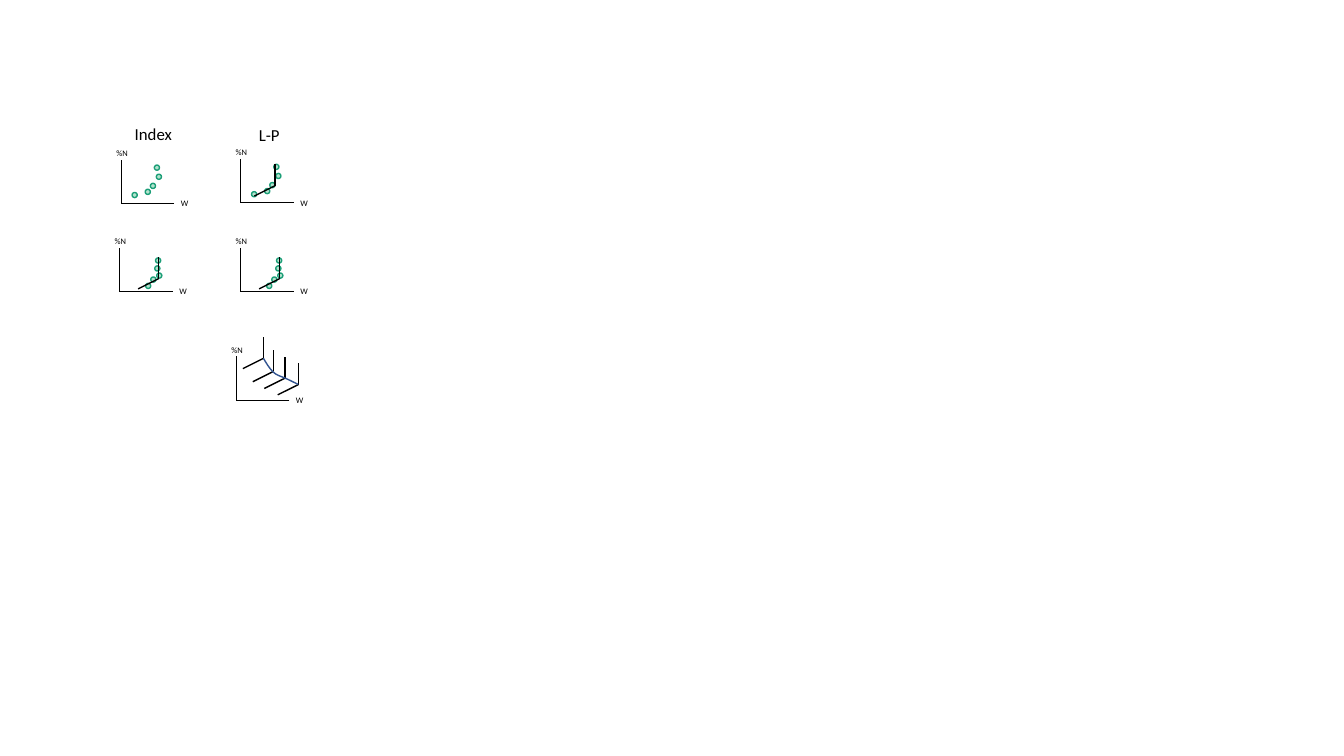
from lxml import etree
from pptx import Presentation
from pptx.dml.color import RGBColor
from pptx.enum.shapes import MSO_CONNECTOR as Link, MSO_SHAPE as Preset
from pptx.enum.text import MSO_AUTO_SIZE as AutoSize, PP_ALIGN as Align
from pptx.oxml.ns import qn
from pptx.util import Cm, Pt

BLACK, MINT, GREEN, BLUE = "000000", "B3E2CD", "1B9E77", "325491"
DOT = 0.13
AXIS_WIDTH, AXIS_HEIGHT = 1.34, 1.1
ARM_WIDTH, ARM_DROP, STEM = 0.52, 0.26, 0.54
SCATTERED = [(0.28, -0.28), (0.61, -0.36), (0.74, -0.51), (0.89, -0.74), (0.84, -0.97)]
ALIGNED = [(0.66, -0.2), (0.79, -0.36), (0.94, -0.46), (0.89, -0.64), (0.91, -0.84)]
SERIES_BENDS = [(1.57, -0.39), (1.23, -0.55), (0.94, -0.72), (0.69, -1.05)]
TREND = [(0.69, -1.05), (0.76, -0.93), (0.84, -0.8), (0.92, -0.72), (1.01, -0.62),
         (1.13, -0.6), (1.24, -0.55), (1.35, -0.5), (1.57, -0.39), (1.57, -0.39)]
HEADINGS = [("L-P", 5.64, 3.02), ("Index", 2.72, 3.0)]
PANELS = [
    ((3.05, 5.13), SCATTERED, [], []),
    ((6.06, 5.11), SCATTERED, [(0.87, -0.43)], []),
    ((6.06, 7.34), ALIGNED, [(0.99, -0.32)], []),
    ((3.01, 7.34), ALIGNED, [(0.99, -0.32)], []),
    ((5.95, 10.08), [], SERIES_BENDS, TREND),
]


def colour(value):
    """Turn a hex string into a colour."""
    return RGBColor.from_string(value)


def set_line(line, value, width):
    """Give a line its colour and its width in points."""
    line.color.rgb = colour(value)
    line.width = Pt(width)


def add_label(shapes, text, box, size):
    """Place centred text in a box given as left, top, width, height."""
    frame = shapes.add_textbox(*map(Cm, box)).text_frame
    for name, value in {"word_wrap": False, "auto_size": AutoSize.SHAPE_TO_FIT_TEXT}.items():
        setattr(frame, name, value)
    para = frame.paragraphs[0]
    para.alignment = Align.CENTER
    span = para.add_run()
    span.text = text
    for name, value in {"name": "Calibri", "size": Pt(size)}.items():
        setattr(span.font, name, value)
    span.font.color.rgb = colour(BLACK)


def add_line(shapes, start, end, width):
    """Draw a straight black line between two points."""
    line = shapes.add_connector(Link.STRAIGHT, *map(Cm, (*start, *end)))
    set_line(line.line, BLACK, width)
    etree.SubElement(line._element.spPr, qn("a:effectLst"))


def add_dot(shapes, left, top):
    """Draw one data point."""
    dot = shapes.add_shape(Preset.OVAL, *map(Cm, (left, top, DOT, DOT)))
    dot.shadow.inherit = False
    dot.fill.solid()
    dot.fill.fore_color.rgb = colour(MINT)
    set_line(dot.line, GREEN, 1)


def add_axes(shapes, x, y):
    """Draw both axes and their names from the corner where they meet."""
    add_line(shapes, (x, y), (x, y - AXIS_HEIGHT), 0.5)
    add_line(shapes, (x + AXIS_WIDTH, y), (x, y), 0.5)
    add_label(shapes, "W", (x + 1.26, y - 0.25, 0.56, 0.51), 6)
    add_label(shapes, "%N", (x - 0.42, y - 1.52, 0.89, 0.51), 6)


def add_bend(shapes, x, y):
    """Draw a sloping arm and an upright stem that meet at a point."""
    add_line(shapes, (x - ARM_WIDTH, y + ARM_DROP), (x, y), 1)
    add_line(shapes, (x, y), (x, y - STEM), 1)


def add_curve(shapes, points):
    """Draw a smooth curve from a start and triples of Bezier points."""
    start, *rest = [(Cm(x), Cm(y)) for x, y in points]
    builder = shapes.build_freeform(*start)
    builder.add_line_segments(rest, close=False)
    curve = builder.convert_to_shape()
    curve.shadow.inherit = False
    curve.fill.background()
    set_line(curve.line, BLUE, 1)
    steps = list(curve._element.iter(qn("a:lnTo")))
    for first in range(0, len(steps), 3):
        bezier = etree.SubElement(steps[first].getparent(), qn("a:cubicBezTo"))
        for step in steps[first:first + 3]:
            bezier.append(step[0])
            step.getparent().remove(step)


def add_panel(page, corner, dots, bends, trend):
    """Draw one small graph, as a group, from the corner of its axes."""
    x, y = corner
    shapes = page.shapes.add_group_shape().shapes
    for dx, dy in dots:
        add_dot(shapes, x + dx, y + dy)
    add_axes(shapes, x, y)
    for dx, dy in bends:
        add_bend(shapes, x + dx, y + dy)
    if trend:
        add_curve(shapes, [(x + dx, y + dy) for dx, dy in trend])


def main():
    """Build the slide and save it."""
    deck = Presentation()
    deck.slide_width, deck.slide_height = Cm(33.87), Cm(19.05)
    page = deck.slides.add_slide(deck.slide_layouts[6])
    for text, left, top in HEADINGS:
        add_label(page.shapes, text, (left, top, 2.29, 0.76), 12)
    for panel in PANELS:
        add_panel(page, *panel)
    deck.save("out.pptx")


if __name__ == "__main__":
    main()
